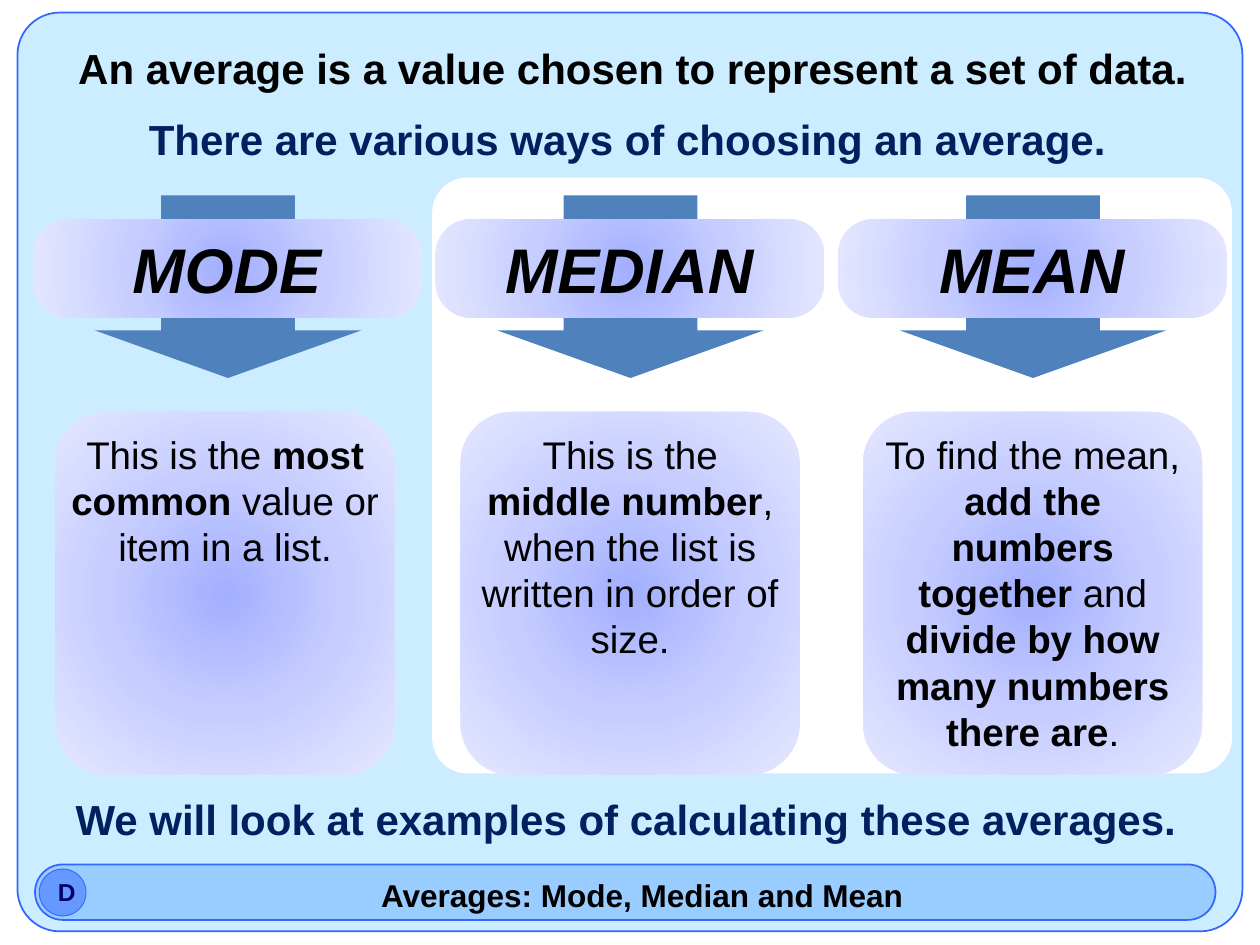
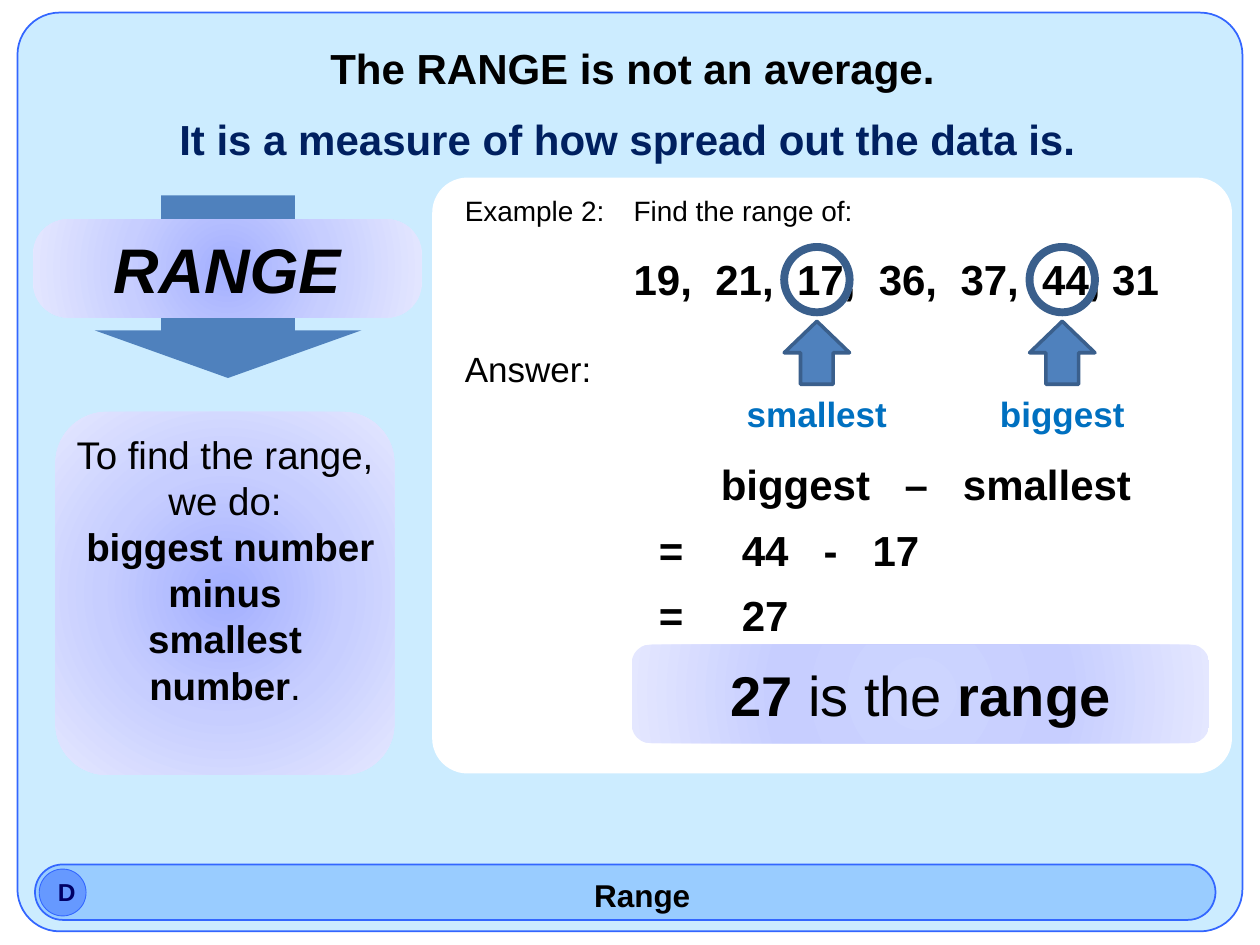
"""Builds two slides on averages and the range."""
import pptx
import pptx.util
import pptx.dml.color
import pptx.enum.shapes
import pptx.enum.text
import pptx.oxml
import pptx.oxml.ns

AVERAGES = {
    "headline": "An average is a value chosen to represent a set of data.",
    "subline": "There are various ways of choosing an average.",
    "closing": "We will look at examples of calculating these averages.",
    "footer": "Averages: Mode, Median and Mean",
    "columns": [
        ("MODE", "This is the |most common| value or item in a list."),
        ("MEDIAN", "This is the |middle number|, when the list is written in order of size."),
        ("MEAN", "To find the mean, |add the numbers together |and "
                 "|divide by how many numbers there are|."),
    ],
}
RANGE = {
    "headline": "The RANGE is not an average.",
    "subline": "It is a measure of how spread out the data is.",
    "footer": "Range",
    "columns": [
        ("RANGE", "To find the range, we do:\n| biggest number minus\n|smallest number|."),
    ],
}
EXAMPLE_LABELS = [
    ("Example 2:", 258.5, 107.3, 112, 16),
    ("Find the range of:", 355, 107.3, 340, 16),
    ("Answer:", 258.5, 195.1, 112, 20),
]
NUMBERS = "|19,\t21,\t17,\t36,\t37,\t44,\t31"
NUMBER_TABS = [46.7 * n for n in range(1, 6)] + [273.5]
WORKING = [
    ("|biggest\t–\tsmallest", 404.8, 258.5, [105, 138.4]),
    ("|=\t44\t-\t17", 369.4, 295.9, [47.4, 94.1, 122.1]),
    ("|=\t27", 369.4, 333.4, [47.4]),
]
MARKED_NUMBERS = [("smallest", 466.8), ("biggest", 607)]
RESULT = "|27 |is the |range"

FONT = "Arial"
BLACK, NAVY, DARK_BLUE, LABEL_BLUE = "000000", "002060", "000066", "0070C0"
SKY, BAR_BLUE, BADGE_BLUE, OUTLINE = "CCECFF", "99CCFF", "6699FF", "3366FF"
ARROW_BLUE, ARROW_EDGE, WHITE = "4F81BD", "3A5F8C", "FFFFFF"
GLOW = ("A3AFFF", "C7CEFF", "E4E7FF")
PALE_GLOW = ("CDD5FF", "C7CEFF", "E4E7FF")

PILL_LEFT, COLUMN_STEP = 18.7, 230
CARD_LEFTS = (31.7, 263.2, 493.2)

SHAPE = pptx.enum.shapes.MSO_SHAPE
ALIGN = pptx.enum.text.PP_ALIGN
Pt = pptx.util.Pt


def colour(hex_string):
    return pptx.dml.color.RGBColor.from_string(hex_string)


def add_glow(shape, stops):
    shape.fill.background()
    no_fill = shape.fill._xPr.find(pptx.oxml.ns.qn("a:noFill"))
    gradient_stops = "".join(
        f'<a:gs pos="{n * 50000}"><a:srgbClr val="{stop}"/></a:gs>'
        for n, stop in enumerate(stops))
    glow = pptx.oxml.parse_xml(
        f'<a:gradFill {pptx.oxml.ns.nsdecls("a")} rotWithShape="1">'
        f'<a:gsLst>{gradient_stops}</a:gsLst><a:path path="circle">'
        '<a:fillToRect l="50000" t="50000" r="50000" b="50000"/></a:path></a:gradFill>')
    no_fill.getparent().replace(no_fill, glow)


def add_figure(slide, kind, box, fill=None, outline=None, weight=1, adjust=()):
    figure = slide.shapes.add_shape(kind, *map(Pt, box))
    figure.shadow.inherit = False
    for n, value in enumerate(adjust):
        figure.adjustments[n] = value
    if isinstance(fill, tuple):
        add_glow(figure, fill)
    elif fill:
        figure.fill.solid()
        figure.fill.fore_color.rgb = colour(fill)
    else:
        figure.fill.background()
    if outline:
        figure.line.color.rgb = colour(outline)
        figure.line.width = Pt(weight)
    else:
        figure.line.fill.background()


def add_words(slide, words, box, size, ink=BLACK, align=ALIGN.CENTER, italic=False, tabs=()):
    """Adds a text box in which every second part between bars is bold."""
    frame = slide.shapes.add_textbox(*map(Pt, box)).text_frame
    frame.word_wrap = True
    frame.auto_size = pptx.enum.text.MSO_AUTO_SIZE.SHAPE_TO_FIT_TEXT
    for n, line in enumerate(words.split("\n")):
        paragraph = frame.add_paragraph() if n else frame.paragraphs[0]
        paragraph.alignment = align
        if tabs:
            stops = "".join(f'<a:tab pos="{Pt(tab)}" algn="l"/>' for tab in tabs)
            paragraph._p.get_or_add_pPr().append(pptx.oxml.parse_xml(
                f'<a:tabLst {pptx.oxml.ns.nsdecls("a")}>{stops}</a:tabLst>'))
        for part, text in enumerate(line.split("|")):
            if not text:
                continue
            run = paragraph.add_run()
            run.text = text
            run.font.name = FONT
            run.font.size = Pt(size)
            run.font.bold = part % 2 == 1
            run.font.italic = italic
            run.font.color.rgb = colour(ink)


def add_column(slide, place, name, meaning):
    pill_left = PILL_LEFT + place * COLUMN_STEP
    card_left = CARD_LEFTS[place]
    add_figure(slide, SHAPE.ROUNDED_RECTANGLE, (card_left, 235.4, 193.7, 207.4),
               GLOW, adjust=[0.151])
    add_words(slide, meaning, (card_left + 1.9, 242.6, 190, 167), 22)
    add_figure(slide, SHAPE.DOWN_ARROW, (pill_left + 35.3, 111.6, 152.6, 104.4),
               ARROW_BLUE, adjust=[0.5, 0.261])
    add_figure(slide, SHAPE.ROUNDED_RECTANGLE, (pill_left, 125.3, 222.5, 56.2),
               GLOW, adjust=[0.361])
    add_words(slide, "|" + name, (pill_left + 2.2, 128.2, 217.4, 51), 36, italic=True)


def add_lesson_slide(deck, lesson):
    slide = deck.slides.add_slide(deck.slide_layouts[6])
    rounded = SHAPE.ROUNDED_RECTANGLE
    add_figure(slide, rounded, (10, 7.2, 700, 525), SKY, OUTLINE, adjust=[0.046])
    add_figure(slide, rounded, (247, 101.5, 457, 340.5), WHITE, adjust=[0.059])
    add_figure(slide, rounded, (20, 494, 674.6, 31.7), BAR_BLUE, OUTLINE, adjust=[0.5])
    add_words(slide, "|" + lesson["footer"], (51, 497, 632, 29), 18)
    add_words(slide, "|" + lesson["headline"], (18, 21, 687, 36), 24)
    add_words(slide, "|" + lesson["subline"], (15.8, 61.2, 685.4, 36), 24, NAVY)
    for place, (name, meaning) in enumerate(lesson["columns"]):
        add_column(slide, place, name, meaning)
    if "closing" in lesson:
        add_words(slide, "|" + lesson["closing"], (15, 450, 685.4, 36), 24, NAVY)
    add_figure(slide, SHAPE.OVAL, (22.4, 496.6, 26.8, 26.8), BADGE_BLUE, OUTLINE, 0.5)
    add_words(slide, "|D", (26, 497.6, 24, 24), 14, DARK_BLUE)
    return slide


def add_worked_example(slide):
    for label, left, top, width, size in EXAMPLE_LABELS:
        add_words(slide, label, (left, top, width, 27), size, align=ALIGN.LEFT)
    add_words(slide, NUMBERS, (355, 141.1, 340, 36), 24, align=ALIGN.LEFT, tabs=NUMBER_TABS)
    for label, centre in MARKED_NUMBERS:
        left = centre - 18.7
        add_figure(slide, SHAPE.UP_ARROW, (left, 183.6, 37.4, 36), ARROW_BLUE, ARROW_EDGE, 2)
        add_words(slide, "|" + label, (centre - 53.3, 221, 106.6, 32), 20, LABEL_BLUE)
        add_figure(slide, SHAPE.OVAL, (left, 141.1, 37.4, 37.4), None, ARROW_EDGE, 4.5)
    for step, left, top, tabs in WORKING:
        add_words(slide, step, (left, top, 262, 36), 24, align=ALIGN.LEFT, tabs=tabs)
    add_figure(slide, SHAPE.ROUNDED_RECTANGLE, (361, 368.4, 330, 56.2),
               PALE_GLOW, adjust=[0.188])
    add_words(slide, RESULT, (370, 373.7, 312, 46), 32)


def main():
    deck = pptx.Presentation()
    deck.slide_width, deck.slide_height = Pt(720), Pt(540)
    add_lesson_slide(deck, AVERAGES)
    add_worked_example(add_lesson_slide(deck, RANGE))
    deck.save("out.pptx")


if __name__ == "__main__":
    main()
